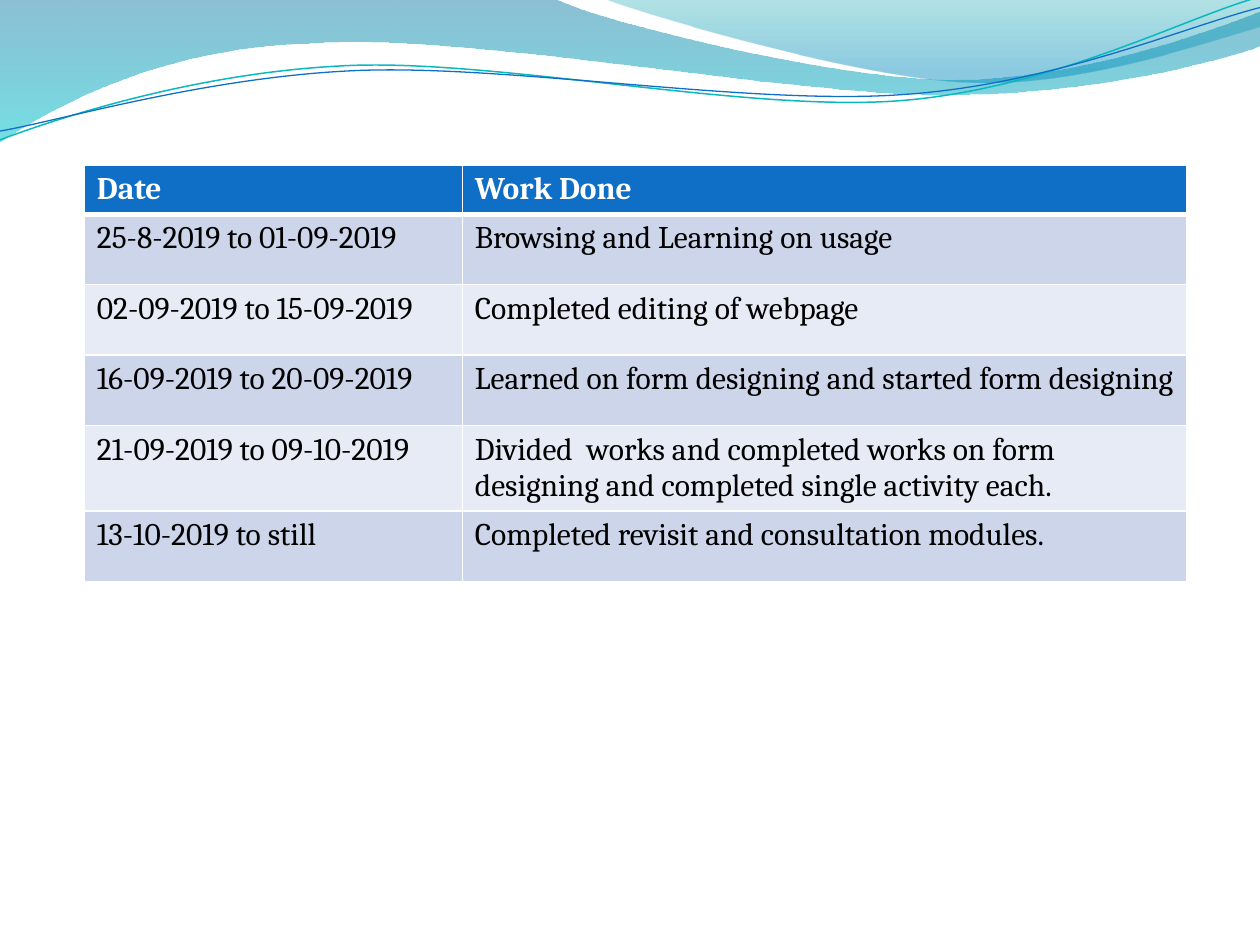
from math import cos, radians, sin

from lxml.etree import SubElement
from pptx import Presentation
from pptx.dml.color import RGBColor
from pptx.oxml.ns import qn
from pptx.util import Cm, Pt

INCH = Cm(2.54)
LINE_TILT = 357.3
LINE_CENTRES = [(4.99, 0.575), (4.995, 0.59)]


def colour(hex_string):
    return RGBColor.from_string(hex_string)


def add_wave(shapes, start, segments, closed):
    """Draw an outline; a segment is one point (line) or three (cubic curve)."""
    points = [(x * INCH, y * INCH) for x, y in [start, *sum(segments, [])]]
    builder = shapes.build_freeform(*points[0])
    builder.add_line_segments(points[1:], close=closed)
    wave = builder.convert_to_shape()
    wave.shadow.inherit = False
    steps = iter(list(wave.element.iter(qn("a:lnTo"))))
    for segment in segments:
        first, *others = [next(steps) for _ in segment]
        if others:
            first.tag = qn("a:cubicBezTo")
        for step in others:
            first.append(step[0])
            step.getparent().remove(step)
    return wave


deck = Presentation()
deck.slide_width, deck.slide_height = Cm(25.4), Cm(19.05)
page = deck.slides.add_slide(deck.slide_layouts[6])
page.background.fill.solid()
page.background.fill.fore_color.rgb = colour("FFFFFF")

# Filled waves: start, segments in inches, then (position, colour, opacity %) stops
filled_waves = [
    ((0, 0),
     [[(4.4, -0.01)],
      [(4.76, 0.17), (6.64, 0.63), (7.58, 0.63)],
      [(8.53, 0.63), (9.58, 0.26), (10, 0.09)],
      [(10.01, 0.36)],
      [(9.83, 0.44), (8.7, 0.76), (7.46, 0.75)],
      [(6.22, 0.75), (3.82, 0.28), (2.57, 0.34)],
      [(1.29, 0.36), (0.46, 0.83), (-0.01, 1.13)],
      [(0, 0)]],
     [(0, "0074A1", 45), (1, "00C6CF", 55)]),
    ((4.79, -0.01),
     [[(5.09, 0.11), (6.82, 0.62), (7.69, 0.65)],
      [(8.56, 0.69), (9.61, 0.32), (10, 0.21)],
      [(10, 0)],
      [(4.79, -0.01)]],
     [(0, "00A1A9", 30), (0.8, "008BBF", 45)]),
]
for start, segments, stops in filled_waves:
    wave = add_wave(page.shapes, start, segments, closed=True)
    wave.line.fill.background()
    wave.fill.gradient()
    wave.fill.gradient_angle = 270
    for stop, (position, hex_string, _) in zip(wave.fill.gradient_stops, stops):
        stop.position = position
        stop.color.rgb = colour(hex_string)
    for tint, (_, _, opacity) in zip(wave.element.spPr.iter(qn("a:srgbClr")), stops):
        SubElement(tint, qn("a:alpha"), val=str(opacity * 1000))

# Thin tilted wave lines: start, segments as seen on the page, colour, width
wave_lines = [
    ((0, 1.11),
     [[(0.48, 0.93), (1.58, 0.57), (2.77, 0.52)],
      [(3.95, 0.47), (5.93, 0.89), (7.13, 0.8)],
      [(8.33, 0.71), (9.38, 0.15), (9.98, -0.02)]], "0AB8BF", 0.85),
    ((0, 1.04),
     [[(0.47, 0.96), (1.64, 0.61), (2.83, 0.56)],
      [(4.03, 0.51), (5.97, 0.84), (7.17, 0.75)],
      [(8.36, 0.67), (9.41, 0.21), (10, 0.06)]], "0F6FC6", 0.75),
]
line_group = page.shapes.add_group_shape()
cosine, sine = cos(radians(-LINE_TILT)), sin(radians(-LINE_TILT))
for (centre_x, centre_y), (start, segments, hex_string, width) in zip(LINE_CENTRES, wave_lines):
    # Level the curve about its centre, then let the shape's rotation tilt it
    level_start, *level_points = [
        (centre_x + (x - centre_x) * cosine - (y - centre_y) * sine,
         centre_y + (x - centre_x) * sine + (y - centre_y) * cosine)
        for x, y in [start, *sum(segments, [])]]
    level_segments = [level_points[i:i + 3] for i in range(0, len(level_points), 3)]
    wave = add_wave(line_group.shapes, level_start, level_segments, closed=False)
    wave.rotation = LINE_TILT
    wave.fill.background()
    wave.line.color.rgb = colour(hex_string)
    wave.line.width = Pt(width)

# Work log
work_log = [
    ("Date", "Work Done"),
    ("25-8-2019 to 01-09-2019", "Browsing and Learning on usage"),
    ("02-09-2019 to 15-09-2019", "Completed editing of webpage"),
    ("16-09-2019 to 20-09-2019", "Learned on form designing and started form designing"),
    ("21-09-2019 to 09-10-2019",
     "Divided  works and completed works on form designing and completed single activity each."),
    ("13-10-2019 to still", "Completed revisit and consultation modules."),
]
frame = page.shapes.add_table(len(work_log), 2, Cm(1.7), Cm(3.33), Cm(22.23), Cm(7.95))
table = frame.table
table.columns[0].width, table.columns[1].width = Cm(7.62), Cm(14.61)
for row_index, entries in enumerate(work_log):
    is_header = row_index == 0
    table.rows[row_index].height = Cm(0.85 if is_header else 1.42)
    row_fill = "0F6FC6" if is_header else ("E7EBF5", "CCD5EA")[row_index % 2]
    for column_index, entry in enumerate(entries):
        cell = table.cell(row_index, column_index)
        cell.text_frame.text = entry
        font = cell.text_frame.paragraphs[0].runs[0].font
        font.name, font.size, font.bold = "Cambria", Pt(18), is_header
        font.color.rgb = colour("FFFFFF" if is_header else "000000")

        properties = cell._tc.get_or_add_tcPr()
        thick_side = {0: "lnB", 1: "lnT"}.get(row_index)
        for side in ("lnL", "lnR", "lnT", "lnB"):
            width = Pt(3 if side == thick_side else 1)
            border = SubElement(properties, qn(f"a:{side}"), w=str(width))
            SubElement(SubElement(border, qn("a:solidFill")), qn("a:srgbClr"), val="FFFFFF")
        cell.fill.solid()
        cell.fill.fore_color.rgb = colour(row_fill)

deck.save("out.pptx")
